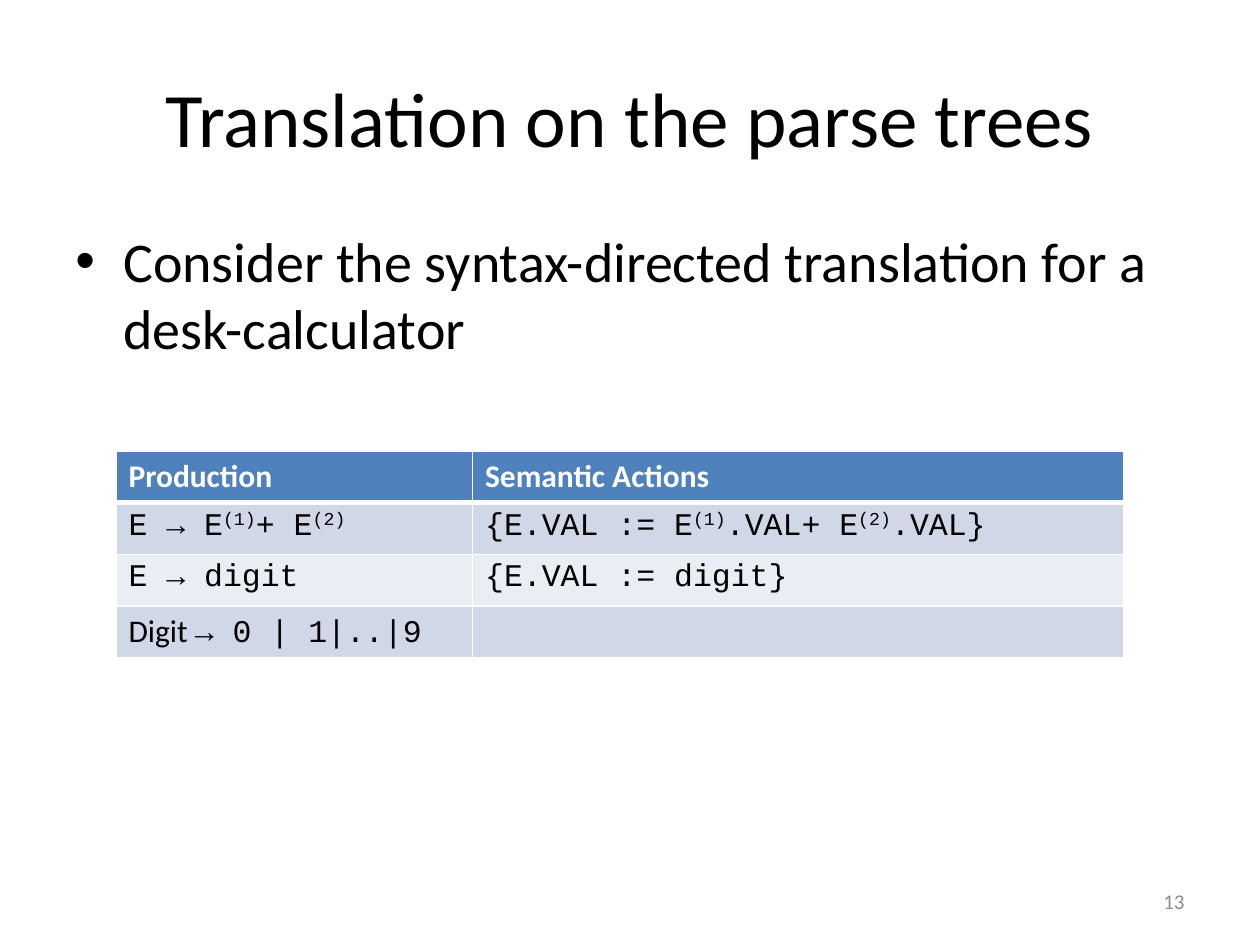
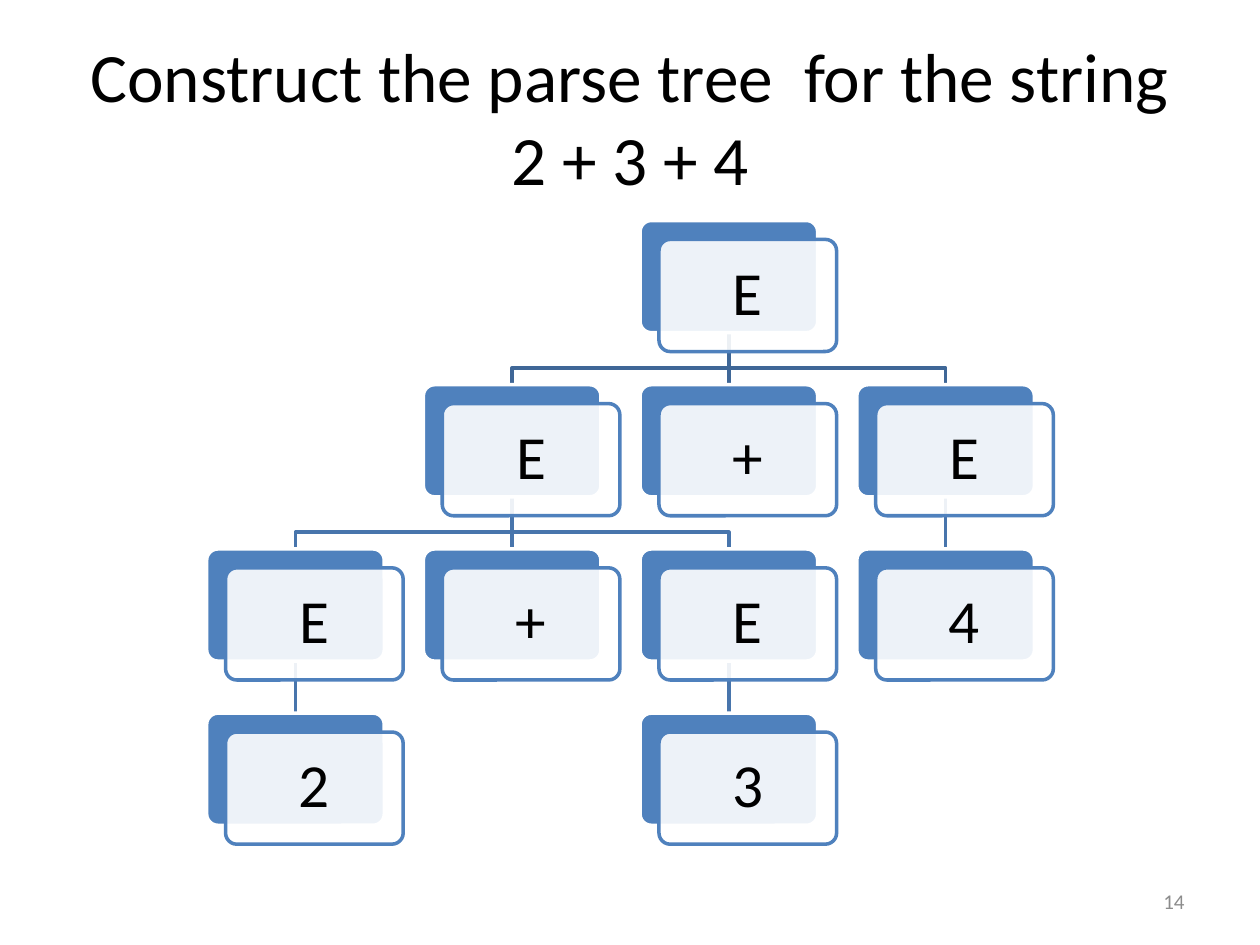
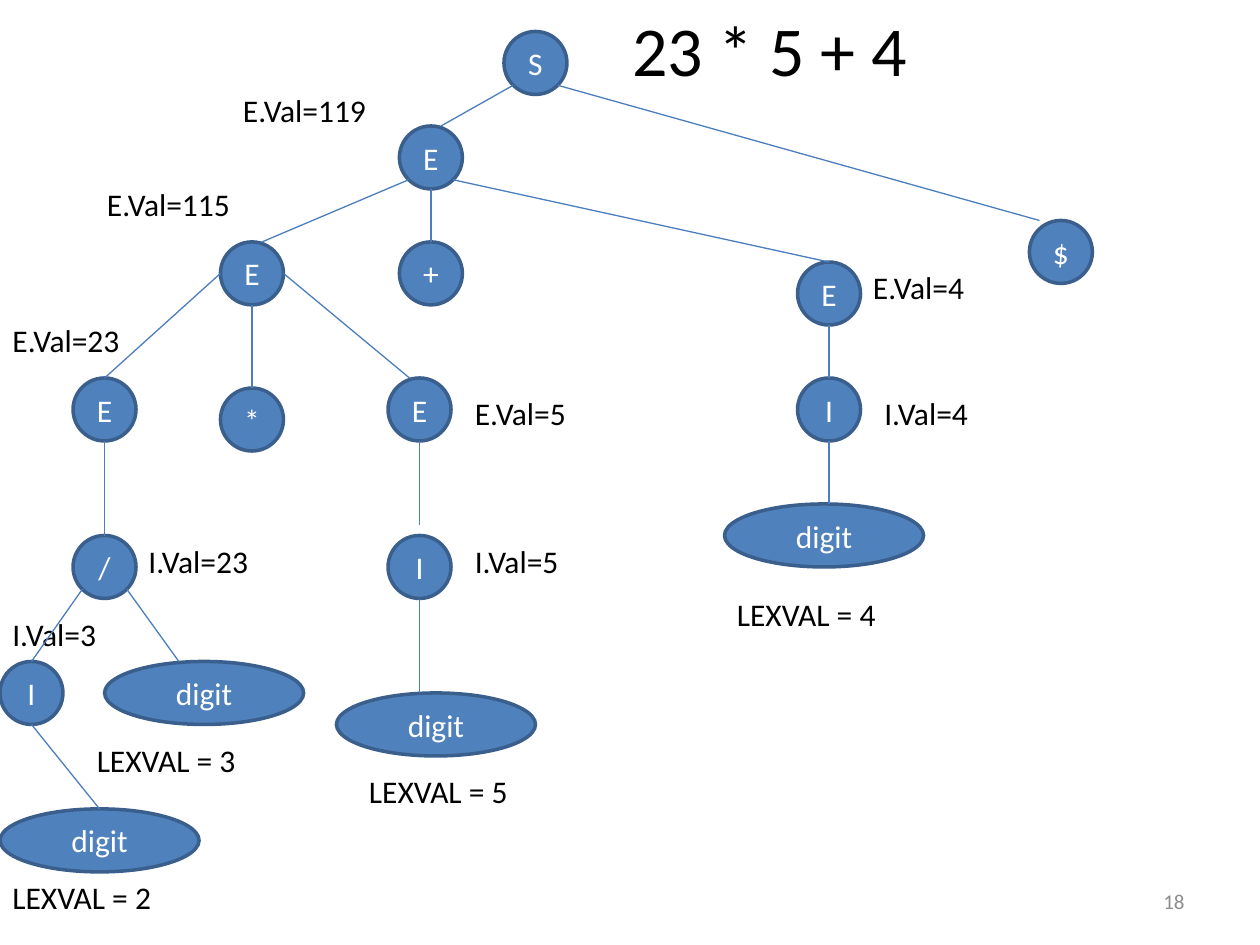
from math import cos, radians, sin

from lxml import etree
from pptx import Presentation
from pptx.dml.color import RGBColor
from pptx.enum import shapes, text
from pptx.oxml.ns import qn
from pptx.util import Inches, Pt

BLACK = RGBColor(0x00, 0x00, 0x00)
WHITE = RGBColor(0xFF, 0xFF, 0xFF)
GRAY = RGBColor(0x8C, 0x8C, 0x8C)
BLUE = RGBColor(0x4F, 0x81, 0xBD)
OUTLINE = RGBColor(0x3A, 0x5F, 0x8C)
EDGE = RGBColor(0x4B, 0x7E, 0xBC)
TOP_BRANCH = RGBColor(0x3F, 0x67, 0x97)
LOW_BRANCH = RGBColor(0x48, 0x75, 0xAC)
BAND_DARK = RGBColor(0xD0, 0xD8, 0xE8)
BAND_LIGHT = RGBColor(0xE9, 0xED, 0xF4)

BODY_FONT, CODE_FONT = "Calibri", "Courier New"
LEFT, CENTER, RIGHT = text.PP_ALIGN.LEFT, text.PP_ALIGN.CENTER, text.PP_ALIGN.RIGHT
TOP, MIDDLE = text.MSO_ANCHOR.TOP, text.MSO_ANCHOR.MIDDLE
OVAL, ROUNDED = shapes.MSO_SHAPE.OVAL, shapes.MSO_SHAPE.ROUNDED_RECTANGLE


def write(frame, words, size=18, color=BLACK, font=BODY_FONT, bold=False,
          align=LEFT, anchor=TOP):
    """Fill a frame; words is a string or (string, font) pairs, ^ marks superscripts."""
    frame.word_wrap = True
    frame.vertical_anchor = anchor
    para = frame.paragraphs[0]
    para.alignment = align
    pairs = [(words, font)] if isinstance(words, str) else words
    for content, face in pairs:
        for index, piece in enumerate(content.split("^")):
            if not piece:
                continue
            span = para.add_run()
            span.text = piece
            span.font.name, span.font.size = face, Pt(size)
            span.font.bold, span.font.color.rgb = bold, color
            if index % 2:
                span._r.get_or_add_rPr().set("baseline", "30000")
    return para


def border(cell, side, points):
    line = etree.Element(qn(f"a:{side}"), w=str(Pt(points)))
    fill = etree.SubElement(line, qn("a:solidFill"))
    etree.SubElement(fill, qn("a:srgbClr"), val=str(WHITE))
    return line


class Builder:
    def __init__(self):
        self.deck = Presentation()
        self.deck.slide_width, self.deck.slide_height = Inches(10), Inches(7.5)
        self.page = None

    def new_page(self, number, title=None):
        self.page = self.deck.slides.add_slide(self.deck.slide_layouts[6])
        if title:
            words, size = title
            self.label(words, 0.5, 0.3, 9, 1.25, size=size, align=CENTER, anchor=MIDDLE)
        self.label(str(number), 7.17, 6.95, 2.33, 0.4, size=12, color=GRAY,
                   align=RIGHT, anchor=MIDDLE)

    def label(self, words, x, y, width, height=0.4, **style):
        box = self.page.shapes.add_textbox(*map(Inches, (x, y, width, height)))
        return write(box.text_frame, words, **style)

    def bullet(self, words, x, y, width, height, size):
        para = self.label(words, x, y, width, height, size=size)
        para.space_before = Pt(size * 0.2)
        props = para._p.get_or_add_pPr()
        props.set("marL", str(Inches(0.38)))
        props.set("indent", str(-Inches(0.38)))
        etree.SubElement(props, qn("a:buFont"), typeface="Arial")
        etree.SubElement(props, qn("a:buChar"), char="•")

    def shape(self, kind, x, y, width, height, fill=BLUE, line=OUTLINE):
        shape = self.page.shapes.add_shape(kind, *map(Inches, (x, y, width, height)))
        shape.shadow.inherit = False
        shape.fill.solid()
        shape.fill.fore_color.rgb = fill
        shape.line.color.rgb, shape.line.width = line, Pt(2)
        return shape

    def oval(self, words, x, y, width, height):
        oval = self.shape(OVAL, x, y, width, height)
        write(oval.text_frame, words, color=WHITE, align=CENTER, anchor=MIDDLE)

    def card(self, words, x, y, width, height, offset):
        back = self.shape(ROUNDED, x, y, width, height, line=WHITE)
        front = self.shape(ROUNDED, x + offset, y + offset, width, height, WHITE, BLUE)
        back.adjustments[0] = front.adjustments[0] = 0.1
        tint = front._element.spPr.find(".//" + qn("a:srgbClr"))
        etree.SubElement(tint, qn("a:alpha"), val="90000")
        frame = front.text_frame
        frame.margin_left = frame.margin_right = Inches(0.15)
        frame.margin_top = frame.margin_bottom = Inches(0.15)
        para = write(frame, words, size=35, align=CENTER, anchor=MIDDLE)
        para.line_spacing = 0.9

    def line(self, start, end, color=EDGE, points=0.75):
        line = self.page.shapes.add_connector(
            shapes.MSO_CONNECTOR.STRAIGHT, *map(Inches, (*start, *end)))
        line.line.color.rgb, line.line.width = color, Pt(points)
        etree.SubElement(line._element.spPr, qn("a:effectLst"))

    def branch(self, start, end, color):
        """Straight line to a child below, or an elbow to one at the side."""
        if start[0] == end[0]:
            self.line(start, end, color, 2)
            return
        bend = start[1] + 0.28
        points = [start, (start[0], bend), (end[0], bend), end]
        points = [tuple(map(Inches, point)) for point in points]
        outline = self.page.shapes.build_freeform(*points[0])
        outline.add_line_segments(points[1:], close=False)
        elbow = outline.convert_to_shape()
        elbow.shadow.inherit = False
        elbow.fill.background()
        elbow.line.color.rgb, elbow.line.width = color, Pt(2)

    def table(self, rows, x, y, widths, row_height):
        grid = self.page.shapes.add_table(
            len(rows), len(widths),
            *map(Inches, (x, y, sum(widths), row_height * len(rows)))).table
        for column, width in zip(grid.columns, widths):
            column.width = Inches(width)
        for r, row in enumerate(rows):
            grid.rows[r].height = Inches(row_height)
            band = BLUE if r == 0 else BAND_DARK if r % 2 else BAND_LIGHT
            for c, words in enumerate(row):
                cell = grid.cell(r, c)
                if r == 0:
                    write(cell.text_frame, words, color=WHITE, bold=True)
                else:
                    write(cell.text_frame, words, font=CODE_FONT)
                weights = {"lnL": 1, "lnR": 1, "lnT": 3 if r == 1 else 1,
                           "lnB": 3 if r == 0 else 1}
                props = cell._tc.get_or_add_tcPr()
                for side, points in weights.items():
                    props.append(border(cell, side, points))
                cell.fill.solid()
                cell.fill.fore_color.rgb = band


def translation_page(builder):
    builder.new_page(13, ("Translation on the parse trees", 44))
    builder.bullet("Consider the syntax-directed translation for a desk-calculator",
                   0.5, 1.75, 9, 4.95, size=32)
    builder.table([
        ("Production", "Semantic Actions"),
        ("E → E^(1)^+ E^(2)^", "{E.VAL := E^(1)^.VAL+ E^(2)^.VAL}"),
        ("E → digit", "{E.VAL := digit}"),
        ([("Digit ", BODY_FONT), ("→ 0 | 1|..|9", CODE_FONT)], ""),
    ], 0.92, 3.58, (2.83, 5.17), 0.41)


def parse_tree_page(builder):
    builder.new_page(14, ("Construct the parse tree  for the string 2 + 3 + 4", 39.6))
    width, height = 1.41, 0.89
    column_step, row_step = 1.72, 3.91 / 3

    def corner(column, row):
        return 1.64 + column * column_step, 1.75 + row * row_step

    # Label, column, row, column of the parent in the row above
    cards = [("E", 2, 0, None),
             ("E", 1, 1, 2), ("+", 2, 1, 2), ("E", 3, 1, 2),
             ("E", 0, 2, 1), ("+", 1, 2, 1), ("E", 2, 2, 1), ("4", 3, 2, 3),
             ("2", 0, 3, 0), ("3", 2, 3, 2)]
    # Low branches first, so that the top ones lie over them
    for _, column, row, parent in reversed(cards):
        if parent is not None:
            x, y = corner(column, row)
            parent_x, parent_y = corner(parent, row - 1)
            builder.branch((parent_x + width / 2, parent_y + height),
                           (x + width / 2, y),
                           TOP_BRANCH if row == 1 else LOW_BRANCH)
    for words, column, row, _ in cards:
        builder.card(words, *corner(column, row), width, height, 0.15)


def annotated_tree_page(builder):
    builder.new_page(18)
    size, digit_width = 0.5, 1.58

    # Tree nodes: name -> label, left, top
    nodes = {
        "start": ("S", 4, 0.25), "end": ("$", 8.17, 1.75),
        "sum": ("E", 3.17, 1), "plus": ("+", 3.17, 1.92),
        "product": ("E", 1.75, 1.92), "times": ("*", 1.75, 3.08),
        "E23": ("E", 0.58, 3), "I23": ("/", 0.58, 4.25), "I2": ("I", 0, 5.25),
        "E5": ("E", 3.08, 3), "I5": ("I", 3.08, 4.25),
        "E4": ("E", 6.33, 2.08), "I4": ("I", 6.33, 3),
    }
    for words, x, y in nodes.values():
        builder.oval(words, x, y, size, size)
    for x, y in [(0, 6.42), (0.83, 5.25), (2.67, 5.5), (5.75, 4)]:
        builder.oval("digit", x, y, digit_width, size)

    # Attribute values
    for words, x, y, width in [
            ("E.Val=119", 1.83, 0.67, 1.42), ("E.Val=115", 0.75, 1.42, 1.42),
            ("E.Val=23", 0, 2.5, 1.42), ("I.Val=23", 1.08, 4.25, 1.33),
            ("I.Val=3", 0, 4.83, 1.17), ("E.Val=5", 3.67, 3.08, 1.17),
            ("I.Val=5", 3.67, 4.25, 1.17), ("E.Val=4", 6.83, 2.08, 1.17),
            ("I.Val=4", 6.92, 3.08, 1.17), ("LEXVAL = 2", 0, 6.92, 1.83),
            ("LEXVAL = 3", 0.67, 5.83, 1.83), ("LEXVAL = 5", 2.83, 6.08, 1.83),
            ("LEXVAL = 4", 5.75, 4.67, 1.83)]:
        builder.label(words, x, y, width)
    builder.label("23 * 5 + 4", 4.92, 0, 4.83, 0.77, size=40)

    # Edges: parent, angle at which the edge leaves it (90 is down), end point
    for parent, angle, end in [
            ("start", 135, (3.5, 1)), ("start", 45, (8.25, 1.75)),
            ("sum", 135, (2.08, 1.92)), ("sum", 90, (3.42, 1.92)),
            ("sum", 45, (6.58, 2.08)),
            ("product", 180, (0.83, 3)), ("product", 90, (2, 3.08)),
            ("product", 0, (3.25, 3)),
            ("E23", 90, (0.83, 4.25)), ("I23", 135, (0.25, 5.25)),
            ("I23", 45, (1.42, 5.25)), ("I2", 90, (0.79, 6.42)),
            ("E5", 90, (3.33, 4.17)), ("I5", 90, (3.33, 5.5)),
            ("E4", 90, (6.58, 3)), ("I4", 90, (6.58, 4))]:
        _, x, y = nodes[parent]
        radius, turn = size / 2, radians(angle)
        start = x + radius * (1 + cos(turn)), y + radius * (1 + sin(turn))
        builder.line(start, end)


def main():
    builder = Builder()
    translation_page(builder)
    parse_tree_page(builder)
    annotated_tree_page(builder)
    builder.deck.save("out.pptx")


if __name__ == "__main__":
    main()
